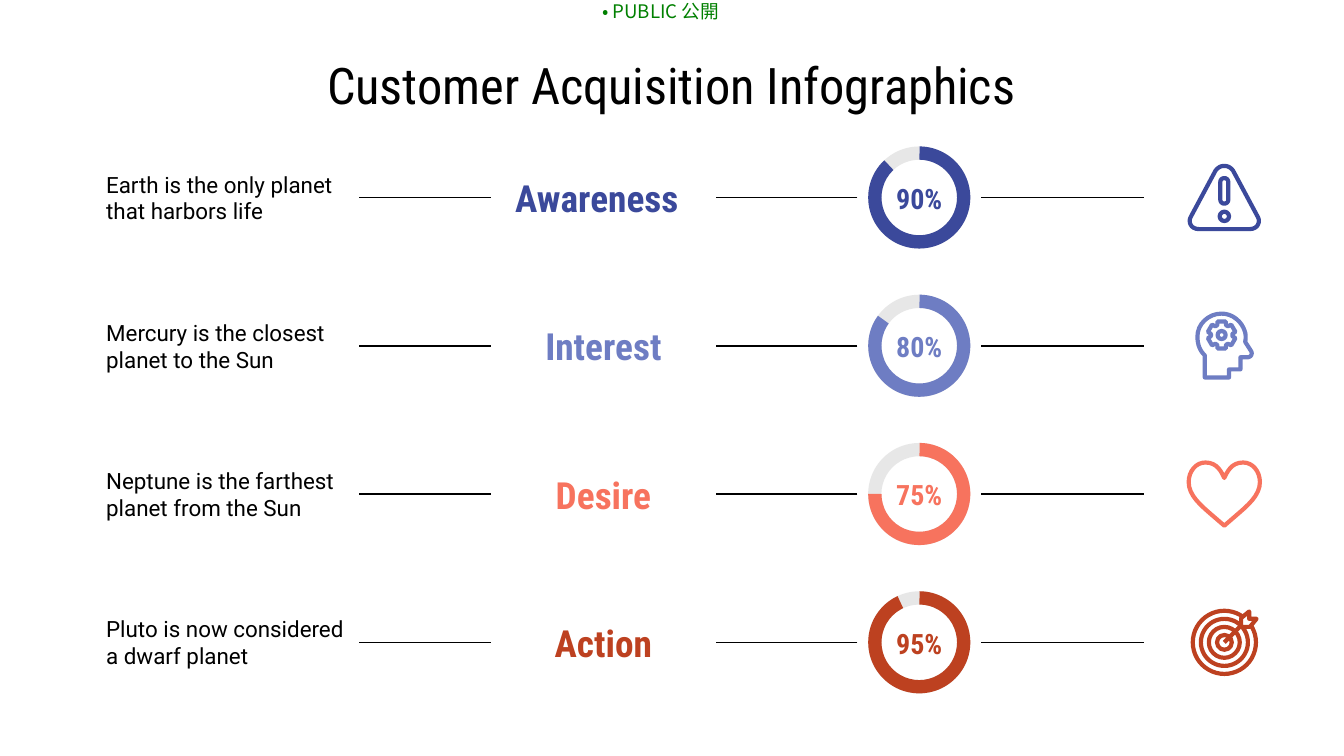
import math

from lxml import etree
from pptx import Presentation
from pptx.dml.color import RGBColor
from pptx.enum.shapes import MSO_CONNECTOR, MSO_SHAPE
from pptx.enum.text import MSO_ANCHOR, MSO_AUTO_SIZE, PP_ALIGN
from pptx.oxml.ns import qn
from pptx.util import Emu, Pt

LINE, OVAL = MSO_CONNECTOR.STRAIGHT, MSO_SHAPE.OVAL
DONUT, ARC = MSO_SHAPE.DONUT, MSO_SHAPE.BLOCK_ARC
LEFT, CENTER = PP_ALIGN.LEFT, PP_ALIGN.CENTER
MIDDLE, TOP = MSO_ANCHOR.MIDDLE, MSO_ANCHOR.TOP
TITLE_ONLY = 5
PX = 9144  # 100 px to the inch
BLACK, WHITE, GREY = "000000", "FFFFFF", "E7E7E7"


def gear(x, y, teeth=6):
    """Corner points of a cogwheel centred on x, y."""
    corners = [(8, -24), (10.5, -17), (10.5, 17), (8, 24)]
    points = []
    for tooth in range(teeth):
        for radius, offset in corners:
            angle = math.radians(tooth * 360 / teeth - 90 + offset)
            points.append((x + radius * math.cos(angle), y + radius * math.sin(angle)))
    return points


# Icon parts around the icon centre: a tuple is a circle (x, y, radius),
# a list is an outline whose steps are points or cubic curves.
WARNING = [
    [(0, -23.5), (3, -23.5, 5, -22, 6.5, -20), (25, 14.5),
     (27, 18, 25, 23.5, 19, 23.5), (-19, 23.5),
     (-25, 23.5, -27, 18, -25, 14.5), (-6.5, -20), (-5, -22, -3, -23.5, 0, -23.5)],
    [(-3, -11.5), (-3, -15.5, 3, -15.5, 3, -11.5), (3, 1.5), (3, 5.5, -3, 5.5, -3, 1.5)],
    (0, 14, 3.5),
]
HEAD = [
    [(-2, -24), (6, -24, 13.5, -18, 15.5, -10), (16, -8, 16, -5, 15.5, -3), (20, 4),
     (21, 6, 20, 8.5, 17, 8.5), (12, 8.5), (12, 17.5), (3.5, 17.5), (3.5, 23.5),
     (-14.5, 23.5), (-14.5, 7), (-18, 4, -20, -1, -20, -7),
     (-20, -16, -12, -24, -2, -24)],
    gear(-2, -8),
    (-2, -8, 3),
]
HEART = [
    [(0, -12), (2, -16, 5, -23.5, 14, -23.5), (21, -23.5, 26.5, -17, 26.5, -9),
     (26.5, 1, 18, 8, 7, 17.5), (0, 23.5), (-7, 17.5),
     (-18, 8, -26.5, 1, -26.5, -9), (-26.5, -17, -21, -23.5, -14, -23.5),
     (-5, -23.5, -2, -16, 0, -12)],
]
TARGET = [
    *[(0, 0, radius) for radius in (23.5, 17.5, 11.5, 5.5)],
    [(0, 0), (14, -14)],
    [(18.5, -23), (18.5, -17.5), (24, -17.5), (19, -11.5), (12.5, -11.5), (12.5, -18)],
]

TITLE = "Customer Acquisition Infographics"
TAG = "• PUBLIC 公開"
# stage, its right inset, description, shown percentage, drawn share, colour, icon
STAGES = [
    ("Awareness", 10, "Earth is the only planet that harbors life", "90%", 0.88, "3B499B", WARNING),
    ("Interest", 0, "Mercury is the closest planet to the Sun", "80%", 0.85, "6E7DC3", HEAD),
    ("Desire", 0, "Neptune is the farthest planet from the Sun", "75%", 0.75, "F7735E", HEART),
    ("Action", 0, "Pluto is now considered a dwarf planet", "95%", 0.93, "BD4120", TARGET),
]
FIRST_ROW, ROW_PITCH = 147, 110.33
RULES = [(638, 533), (851, 730), (365, 267)]
RING_LEFT, RING_SIZE, RING_WIDTH = 646, 76, 0.13
ICON_CENTER = 911


def px(value):
    return Emu(round(value * PX))


def color(value):
    return RGBColor.from_string(value)


def write(box, text, size, font, ink, bold=False, align=CENTER, anchor=MIDDLE, insets=(0, 0, 0, 0)):
    frame = box.text_frame
    settings = {"word_wrap": True, "auto_size": MSO_AUTO_SIZE.NONE, "vertical_anchor": anchor}
    for side, inset in zip(("left", "top", "right", "bottom"), insets):
        settings["margin_" + side] = px(inset)
    for name, value in settings.items():
        setattr(frame, name, value)
    para = frame.paragraphs[0]
    para.alignment = align
    span = para.add_run()
    span.text = text
    for name, value in {"size": Pt(size), "name": font, "bold": bold}.items():
        setattr(span.font, name, value)
    span.font.color.rgb = color(ink)
    return span


def add_text(shapes, left, top, width, height, *content, **layout):
    box = shapes.add_textbox(px(left), px(top), px(width), px(height))
    return write(box, *content, **layout)


def add_rule(shapes, start, end, y):
    rule = shapes.add_connector(LINE, px(start), px(y), px(end), px(y))
    rule.line.color.rgb = color(BLACK)
    rule.line.width = Pt(0.75)
    etree.SubElement(rule.element.spPr, qn("a:effectLst"))


def paint(shape, fill, stroke=None):
    shape.shadow.inherit = False
    shape.fill.solid()
    shape.fill.fore_color.rgb = color(fill)
    if stroke:
        shape.line.color.rgb = color(stroke)
        shape.line.width = Pt(2.25)
    else:
        shape.line.fill.background()


def flatten(steps, pieces=8):
    """Turn points and cubic curves into a plain list of points."""
    points = [steps[0]]
    for step in steps[1:]:
        if len(step) == 2:
            points.append(step)
            continue
        controls = [points[-1], step[:2], step[2:4], step[4:]]
        for piece in range(1, pieces + 1):
            t = piece / pieces
            weights = [math.comb(3, k) * t**k * (1 - t) ** (3 - k) for k in range(4)]
            points.append(tuple(sum(w * c[axis] for w, c in zip(weights, controls)) for axis in (0, 1)))
    return points


def add_icon(shapes, parts, center_x, center_y, ink):
    for part in parts:
        if isinstance(part, tuple):
            x, y, radius = part
            shape = shapes.add_shape(OVAL, px(center_x + x - radius), px(center_y + y - radius),
                                     px(2 * radius), px(2 * radius))
        else:
            points = [(px(center_x + x), px(center_y + y)) for x, y in flatten(part)]
            builder = shapes.build_freeform(*points[0])
            builder.add_line_segments(points[1:], close=True)
            shape = builder.convert_to_shape()
        paint(shape, WHITE, ink)


def add_ring(shapes, center_y, share, ink):
    frame = [px(n) for n in (RING_LEFT, center_y - RING_SIZE / 2, RING_SIZE, RING_SIZE)]
    track = shapes.add_shape(DONUT, *frame)
    track.adjustments[0] = RING_WIDTH
    paint(track, GREY)
    arc = shapes.add_shape(ARC, *frame)
    # 0.6 adjustment units to the degree; the mirrored arc starts at the top
    for index, value in enumerate((108 + 216 * (1 - share), 107.8, RING_WIDTH)):
        arc.adjustments[index] = value
    arc.rotation = 270
    arc.element.spPr.find(qn("a:xfrm")).set("flipH", "1")
    paint(arc, ink)


deck = Presentation()
deck.slide_width, deck.slide_height = px(1000), px(562.5)
page = deck.slides.add_slide(deck.slide_layouts[TITLE_ONLY])

# Classification tag and title
tag = add_text(page.shapes, 447, 0, 89, 17, TAG, 10, "Noto Sans CJK JP", "008000", anchor=TOP)
etree.SubElement(tag.font._element, qn("a:ea")).set("typeface", "Noto Sans CJK JP")
title = page.shapes.title
title.left, title.top, title.width, title.height = px(49), px(45), px(901), px(36)
write(title, TITLE, 27, "Roboto Condensed", BLACK, insets=(10, 10, 10, 10))

# One group for each stage and one for its icon
for row, (stage, inset, description, percent, share, ink, icon) in enumerate(STAGES):
    y = FIRST_ROW + row * ROW_PITCH
    shapes = page.shapes.add_group_shape().shapes
    add_text(shapes, 365, y - 32, 168, 64, stage, 20, "Roboto Condensed", ink,
             bold=True, insets=(0, 0, inset, 0))
    add_text(shapes, 79, y - 25, 187, 50, description, 12, "Roboto", BLACK, align=LEFT)
    for start, end in RULES:
        add_rule(shapes, start, end, y)
    add_ring(shapes, y, share, ink)
    add_text(shapes, RING_LEFT, y - 11, RING_SIZE, 23, percent, 15, "Roboto Condensed", ink,
             bold=True, insets=(10, 10, 10, 10))
    add_icon(page.shapes.add_group_shape().shapes, icon, ICON_CENTER, y, ink)

deck.save("out.pptx")
